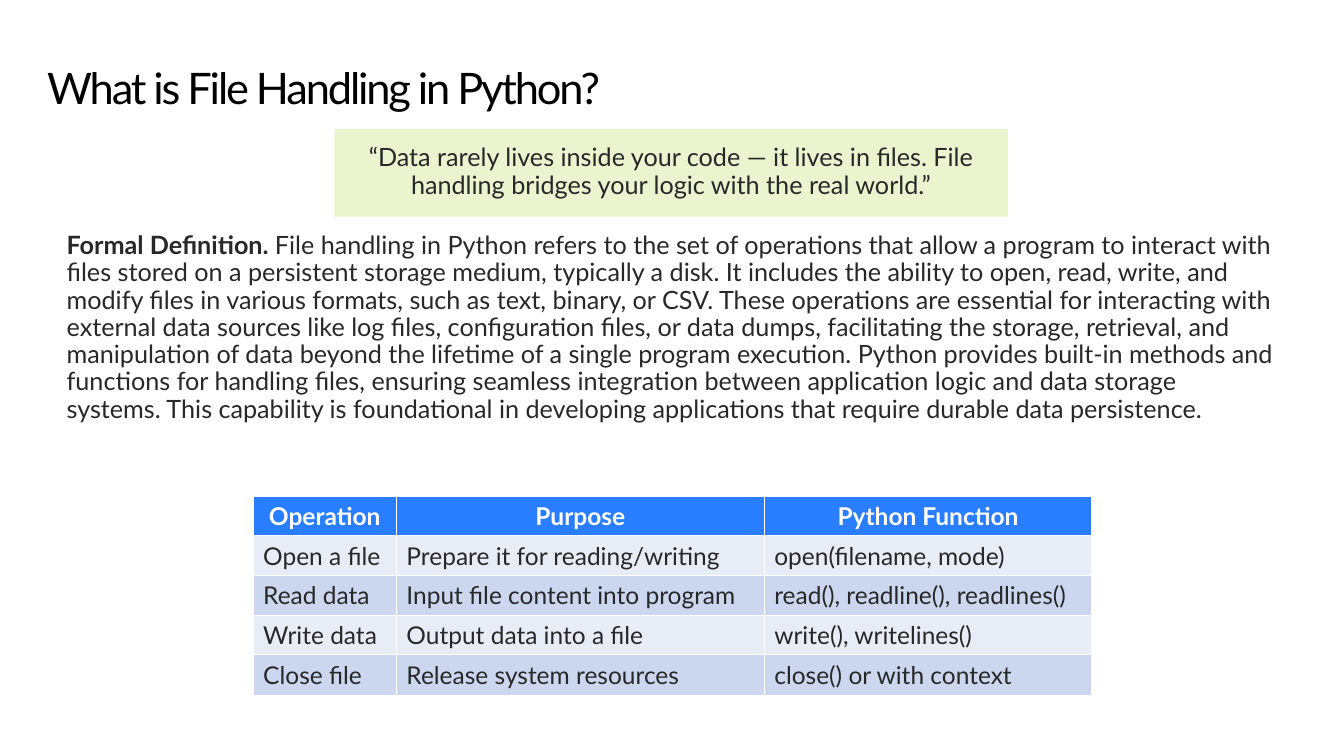
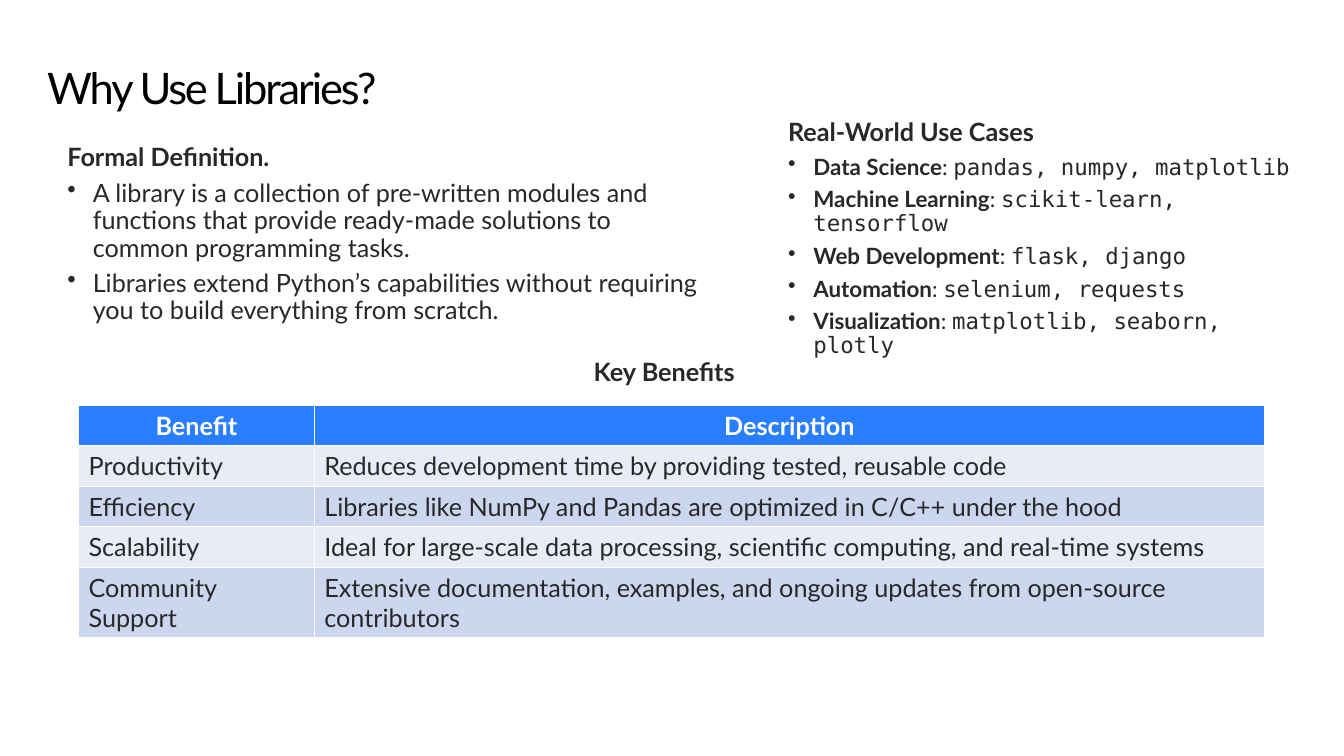
from lxml import etree
from pptx import Presentation
from pptx import util as u
from pptx.dml.color import RGBColor
from pptx.enum import shapes, text
from pptx.oxml.ns import qn

# Shared look
INK, BLACK, WHITE = "282828", "000000", "FFFFFF"
QUOTE_FILL, HEADER_FILL = "EAF5D0", "287EFF"
BAND_FILLS = ("E7ECF7", "CCD6EF")
FONT, CODE_FONT = "Lato", "DejaVu Sans Mono"
TITLE_BOX = (1.19, 1.22, 31.47, 2.06)
INSETS = (0.51, 0.41, 0.51, 0.41)
LEFT, CENTER = text.PP_ALIGN.LEFT, text.PP_ALIGN.CENTER

# Slide 1 content
QUOTE = ("“Data rarely lives inside your code — it lives in files. "
         "File handling bridges your logic with the real world.”")
FILE_DEFINITION = (
    "File handling in Python refers to the set of operations that allow a program to "
    "interact with files stored on a persistent storage medium, typically a disk. It "
    "includes the ability to open, read, write, and modify files in various formats, such "
    "as text, binary, or CSV. These operations are essential for interacting with external "
    "data sources like log files, configuration files, or data dumps, facilitating the "
    "storage, retrieval, and manipulation of data beyond the lifetime of a single program "
    "execution. Python provides built-in methods and functions for handling files, ensuring "
    "seamless integration between application logic and data storage systems. This "
    "capability is foundational in developing applications that require durable data "
    "persistence.")
OPERATIONS = [
    ("Operation", "Purpose", "Python Function"),
    ("Open a file", "Prepare it for reading/writing", "open(filename, mode)"),
    ("Read data", "Input file content into program", "read(), readline(), readlines()"),
    ("Write data", "Output data into a file", "write(), writelines()"),
    ("Close file", "Release system resources", "close() or with context"),
]

# Slide 2 content
LIBRARY_POINTS = [
    "A library is a collection of pre-written modules and functions that provide "
    "ready-made solutions to common programming tasks.",
    "Libraries extend Python’s capabilities without requiring you to build everything "
    "from scratch.",
]
USE_CASES = [
    ("Data Science", "pandas, numpy, matplotlib"),
    ("Machine Learning", "scikit-learn, tensorflow"),
    ("Web Development", "flask, django"),
    ("Automation", "selenium, requests"),
    ("Visualization", "matplotlib, seaborn, plotly"),
]
BENEFITS = [
    ("Benefit", "Description"),
    ("Productivity", "Reduces development time by providing tested, reusable code"),
    ("Efficiency", "Libraries like NumPy and Pandas are optimized in C/C++ under the hood"),
    ("Scalability", "Ideal for large-scale data processing, scientific computing, "
                    "and real-time systems"),
    ("Community Support", "Extensive documentation, examples, and ongoing updates from "
                          "open-source contributors"),
]


def rgb(value):
    return RGBColor.from_string(value)


def lengths(values):
    return [u.Cm(value) for value in values]


def set_font(font, size, color=INK, bold=False):
    font.name, font.size, font.bold = FONT, u.Pt(size), bold
    font.color.rgb = rgb(color)


def set_frame(frame, insets):
    frame.word_wrap = True
    frame.vertical_anchor = text.MSO_ANCHOR.TOP
    (frame.margin_left, frame.margin_top,
     frame.margin_right, frame.margin_bottom) = lengths(insets)


def add_bullet(para):
    props = para._p.get_or_add_pPr()
    props.set("marL", str(u.Cm(0.64)))
    props.set("indent", str(-u.Cm(0.64)))
    bullet = etree.Element(qn("a:buChar"), char="•")
    props.insert_element_before(bullet, "a:tabLst", "a:defRPr", "a:extLst")


def add_title(page, words):
    box = page.shapes.add_textbox(*lengths(TITLE_BOX))
    set_frame(box.text_frame, (0, 0.46, 0, 0))
    para = box.text_frame.paragraphs[0]
    para.line_spacing = 0.9
    set_font(para.font, 31, BLACK)
    span = para.add_run()
    span.text = words
    span._r.get_or_add_rPr().set("spc", "-150")


def fill_text(box, paragraphs, align=LEFT):
    """Each paragraph is (size, bulleted, [(words, style), ...])."""
    frame = box.text_frame
    set_frame(frame, INSETS)
    frame.auto_size = text.MSO_AUTO_SIZE.SHAPE_TO_FIT_TEXT
    for index, (size, bulleted, spans) in enumerate(paragraphs):
        para = frame.add_paragraph() if index else frame.paragraphs[0]
        para.alignment, para.line_spacing, para.space_after = align, 0.9, u.Pt(6)
        set_font(para.font, size)
        if bulleted:
            add_bullet(para)
        for words, style in spans:
            span = para.add_run()
            span.text = words
            if style == "bold":
                span.font.bold = True
            elif style == "code":
                span.font.name = CODE_FONT


def add_text(page, place, paragraphs):
    fill_text(page.shapes.add_textbox(*lengths(place)), paragraphs)


def add_quote(page, place, words):
    box = page.shapes.add_shape(shapes.MSO_SHAPE.RECTANGLE, *lengths(place))
    box.shadow.inherit = False
    box.fill.solid()
    box.fill.fore_color.rgb = rgb(QUOTE_FILL)
    box.line.fill.background()
    fill_text(box, [(18, False, [(words, "plain")])], CENTER)


def add_borders(cell):
    props = cell._tc.get_or_add_tcPr()
    for side in ("lnL", "lnR", "lnT", "lnB"):
        line = etree.SubElement(props, qn("a:" + side), w=str(u.Pt(1)))
        fill = etree.SubElement(line, qn("a:solidFill"))
        etree.SubElement(fill, qn("a:srgbClr"), val=WHITE)


def add_grid(page, corner, widths, heights, rows, size, spacing=None):
    place = lengths((*corner, sum(widths), sum(heights)))
    table = page.shapes.add_table(len(rows), len(widths), *place).table
    for column, width in zip(table.columns, widths):
        column.width = u.Cm(width)
    for number, (row, height, values) in enumerate(zip(table.rows, heights, rows)):
        row.height = u.Cm(height)
        header = number == 0
        for cell, words in zip(row.cells, values):
            add_borders(cell)
            cell.fill.solid()
            cell.fill.fore_color.rgb = rgb(HEADER_FILL if header else BAND_FILLS[(number - 1) % 2])
            cell.vertical_anchor = text.MSO_ANCHOR.MIDDLE
            para = cell.text_frame.paragraphs[0]
            para.alignment = CENTER if header else LEFT
            para.line_spacing = spacing
            set_font(para.font, size, WHITE if header else INK, header)
            para.add_run().text = words


def build_file_handling(page):
    add_title(page, "What is File Handling in Python?")
    add_quote(page, (8.43, 3.25, 16.97, 2.21), QUOTE)
    add_text(page, (1.17, 5.46, 31.47, 6.35), [
        (18, False, [("Formal Definition. ", "bold"), (FILE_DEFINITION, "plain")])])
    add_grid(page, (6.38, 12.5), (3.61, 9.27, 8.26), [1] * 4 + [1.03], OPERATIONS,
             17.5, u.Pt(21))


def build_libraries(page):
    add_title(page, "Why Use Libraries?")
    add_text(page, (1.19, 3.25, 17.04, 5.46),
             [(18, False, [("Formal Definition.", "bold")])]
             + [(18, True, [(point, "plain")]) for point in LIBRARY_POINTS])
    add_text(page, (14.45, 8.71, 4.9, 1.52), [(18, False, [("Key Benefits", "bold")])])
    add_grid(page, (1.98, 10.21), (5.94, 23.95), [1.02] * 4 + [1.75], BENEFITS, 18)
    add_text(page, (19.35, 2.62, 14.1, 5.66),
             [(18, False, [("Real-World Use Cases", "bold")])]
             + [(16, True, [(field, "bold"), (": ", "plain"), (names, "code")])
                for field, names in USE_CASES])


def main():
    deck = Presentation()
    deck.slide_width, deck.slide_height = lengths((33.87, 19.05))
    for build in (build_file_handling, build_libraries):
        build(deck.slides.add_slide(deck.slide_layouts[6]))
    deck.save("out.pptx")


if __name__ == "__main__":
    main()
